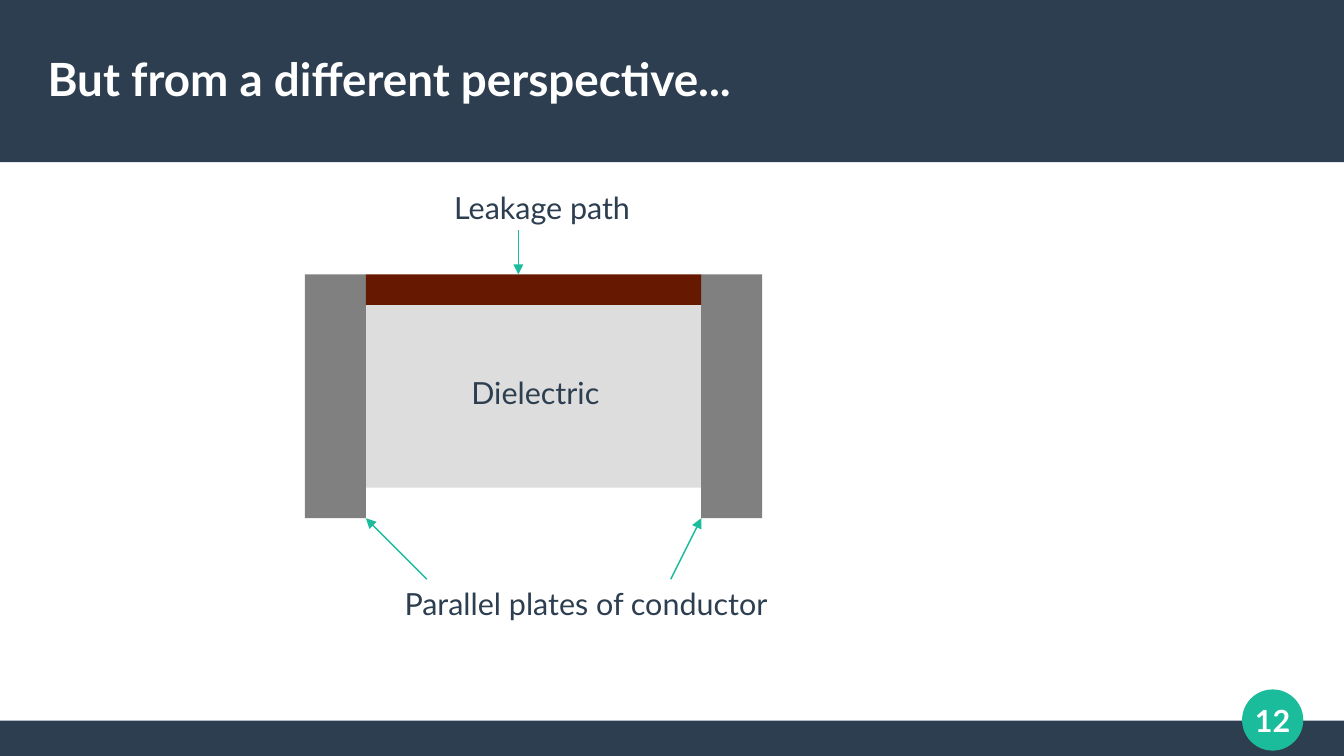
from pptx import Presentation
from pptx.dml.color import RGBColor
from pptx.enum.shapes import MSO_CONNECTOR as Link, MSO_SHAPE as Shape
from pptx.enum.text import MSO_ANCHOR as Anchor, PP_ALIGN as Align
from pptx.oxml.ns import qn
from pptx.util import Inches, Pt
from lxml.etree import SubElement

NAVY, TEAL, WHITE = "2C3E50", "1ABC9C", "FFFFFF"
PALE, GRAY, BROWN = "DDDDDD", "808080", "661900"


def color(code):
    return RGBColor.from_string(code)


def write(frame, text, size=18, ink=NAVY, bold=False, align=Align.CENTER):
    par = frame.paragraphs[0]
    par.alignment = align
    run = par.add_run()
    run.text = text
    font = run.font
    font.name, font.size, font.bold = "Lato", Pt(size), bold
    font.color.rgb = color(ink)


class Board:
    def __init__(self, slide, line=0.85):
        self.shapes = slide.shapes
        self.line = Pt(line)

    def block(self, x, y, w, h, fill, kind=Shape.RECTANGLE):
        item = self.shapes.add_shape(kind, *map(Inches, (x, y, w, h)))
        item.shadow.inherit = False
        item.fill.solid()
        item.fill.fore_color.rgb = color(fill)
        item.line.fill.background()
        return item

    def dot(self, x, y, size, fill):
        item = self.block(x, y, size, size, fill, Shape.OVAL)
        item.line.color.rgb = color(fill)
        item.line.width = self.line

    def text(self, x, y, w, h, words, pad=(0, 0), wrap=True, **style):
        frame = self.shapes.add_textbox(*map(Inches, (x, y, w, h))).text_frame
        frame.word_wrap = wrap
        frame.vertical_anchor = Anchor.MIDDLE
        frame.margin_left = frame.margin_right = Inches(pad[0])
        frame.margin_top = frame.margin_bottom = Inches(pad[1])
        write(frame, words, **style)

    def label(self, x, y, w, words):
        self.text(x, y, w, 0.44, words, pad=(0.1, 0.05), wrap=False)

    def arrow(self, start, end):
        item = self.shapes.add_connector(
            Link.STRAIGHT, *map(Inches, (*start, *end)))
        item.line.color.rgb = color(TEAL)
        item.line.width = self.line
        SubElement(item.line._get_or_add_ln(), qn("a:tailEnd"), type="triangle")
        SubElement(item._element.spPr, qn("a:effectLst"))


def main():
    deck = Presentation()
    deck.slide_width, deck.slide_height = Inches(11.02), Inches(6.2)
    board = Board(deck.slides.add_slide(deck.slide_layouts[6]))

    # Frame, page number and title
    board.block(0, 5.91, 11.02, 0.3, NAVY)
    board.block(0, 0, 11.02, 1.33, NAVY)
    board.dot(10.19, 5.66, 0.49, TEAL)
    board.text(10.04, 5.61, 0.79, 0.59, "12", ink=WHITE, bold=True)
    board.text(0.39, 0.25, 10.24, 0.79, "But from a different perspective...",
               size=27, ink=WHITE, bold=True, align=Align.LEFT)

    # Capacitor: dielectric, two plates, leakage path
    board.block(2.75, 2.5, 3, 1.5, PALE)
    for x in (2.5, 5.75):
        board.block(x, 2.25, 0.5, 2, GRAY)
    board.block(3, 2.25, 2.75, 0.25, BROWN)

    # Labels
    board.label(3, 4.73, 3.61, "Parallel plates of conductor")
    board.label(3.7, 3, 1.38, "Dielectric")
    board.label(3.5, 1.48, 1.89, "Leakage path")

    # Arrows from labels to parts
    board.arrow((4.25, 1.89), (4.25, 2.25))
    board.arrow((3.5, 4.75), (3, 4.25))
    board.arrow((5.5, 4.75), (5.75, 4.25))

    deck.save("out.pptx")


if __name__ == "__main__":
    main()
